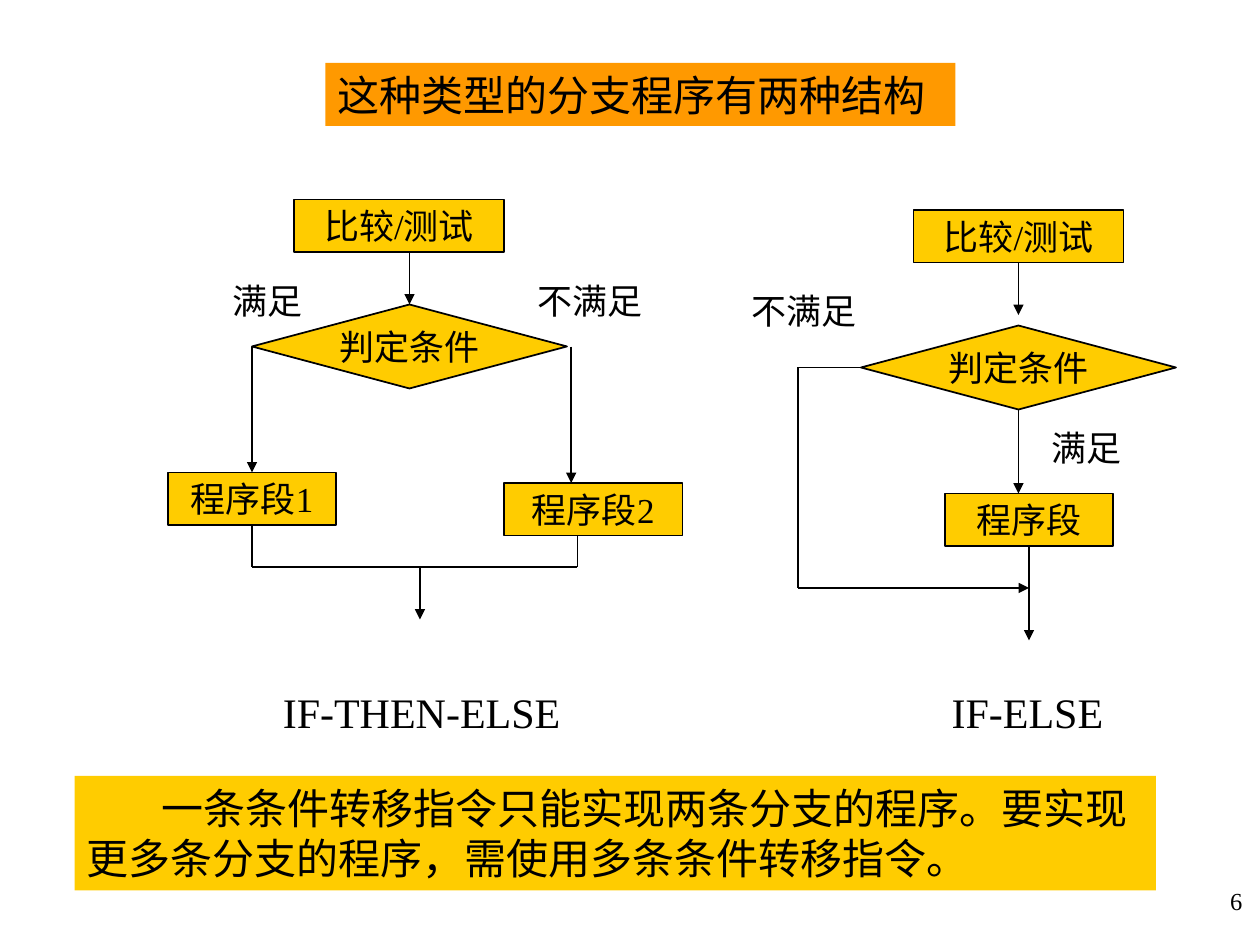
import pptx
import pptx.dml.color
import pptx.enum.shapes
import pptx.enum.text
import pptx.oxml
import pptx.oxml.ns
import pptx.util

ORANGE = pptx.dml.color.RGBColor(0xFF, 0x99, 0x00)
GOLD = pptx.dml.color.RGBColor(0xFF, 0xCC, 0x00)
BLACK = pptx.dml.color.RGBColor(0, 0, 0)
SHAPE = pptx.enum.shapes.MSO_SHAPE
ALIGN = pptx.enum.text.PP_ALIGN
ANCHOR = pptx.enum.text.MSO_ANCHOR


class Flow:
    """Draws flowchart parts on a slide laid out as a grid of 120 columns by 90 rows."""

    font = "Times New Roman"
    line_width = pptx.util.Pt(1)

    def __init__(self, prs):
        self.slide = prs.slides.add_slide(prs.slide_layouts[6])
        self.col = prs.slide_width / 120
        self.row = prs.slide_height / 90
        self.sites = {}

    def emu(self, *grid):
        return [round(v * (self.row if i % 2 else self.col)) for i, v in enumerate(grid)]

    def put_text(self, sp, text, size, align, anchor=ANCHOR.TOP, wrap=True):
        tf = sp.text_frame
        for name, value in {"word_wrap": wrap, "vertical_anchor": anchor}.items():
            setattr(tf, name, value)
        p = tf.paragraphs[0]
        p.alignment = align
        r = p.add_run()
        r.text = text
        style = {"name": self.font, "size": pptx.util.Pt(size)}
        for name, value in style.items():
            setattr(r.font, name, value)
        r.font.color.rgb = BLACK
        return p

    def filled(self, kind, at, color):
        sp = self.slide.shapes.add_shape(kind, *self.emu(*at))
        sp.shadow.inherit = False
        sp.fill.solid()
        sp.fill.fore_color.rgb = color
        return sp

    def banner(self, text, at, color):
        sp = self.filled(SHAPE.RECTANGLE, at, color)
        sp.line.fill.background()
        return self.put_text(sp, text, 24, ALIGN.LEFT)

    def node(self, text, at, kind=SHAPE.FLOWCHART_PROCESS):
        sp = self.filled(kind, at, GOLD)
        sp.line.color.rgb = BLACK
        sp.line.width = self.line_width
        self.put_text(sp, text, 20, ALIGN.CENTER, ANCHOR.MIDDLE, False)
        x, y, w, h = at
        middles = [(x + w / 2, y), (x, y + h / 2), (x + w / 2, y + h), (x + w, y + h / 2)]
        for i, middle in enumerate(middles):
            self.sites[middle] = (sp, i)

    def decision(self, text, x, y):
        self.node(text, (x, y, 30, 8), SHAPE.FLOWCHART_DECISION)

    def label(self, text, at, size=20, align=ALIGN.LEFT):
        self.put_text(self.slide.shapes.add_textbox(*self.emu(*at)), text, size, align)

    def route(self, points, arrow=True):
        last = len(points) - 2
        for i, (start, end) in enumerate(zip(points, points[1:])):
            self.line(start, end, arrow and i == last)

    def line(self, start, end, arrow):
        c = self.slide.shapes.add_connector(
            pptx.enum.shapes.MSO_CONNECTOR.STRAIGHT, *self.emu(*start, *end))
        c.line.color.rgb = BLACK
        c.line.width = self.line_width
        for point, connect in ((start, c.begin_connect), (end, c.end_connect)):
            if point in self.sites:
                connect(*self.sites[point])
        if arrow:
            tail = pptx.oxml.parse_xml(
                f'<a:tailEnd {pptx.oxml.ns.nsdecls("a")} type="triangle"/>')
            c.line._get_or_add_ln().append(tail)
        c._element.spPr.append(
            pptx.oxml.parse_xml(f'<a:effectLst {pptx.oxml.ns.nsdecls("a")}/>'))


def main():
    prs = pptx.Presentation()
    prs.slide_width = pptx.util.Inches(10)
    prs.slide_height = pptx.util.Inches(7.5)
    s = Flow(prs)

    s.banner("这种类型的分支程序有两种结构", (31, 6, 60, 6), ORANGE)

    s.node("比较/测试", (28, 19, 20, 5))
    s.decision("判定条件", 24, 29)
    s.node("程序段1", (16, 45, 16, 5))
    s.node("程序段2", (48, 46, 17, 5))
    s.node("比较/测试", (87, 20, 20, 5))
    s.decision("判定条件", 82, 31)
    s.node("程序段", (90, 47, 16, 5))

    for points in (
        [(39, 24), (39, 29)],
        [(24, 33), (24, 45)],
        [(54.4, 33), (54.4, 46)],
        [(40, 54), (40, 59)],
        [(97, 25), (97, 30)],
        [(97, 39), (97, 47)],
        [(82, 35), (76, 35), (76, 56), (98, 56)],
        [(98, 52), (98, 61)],
    ):
        s.route(points)
    s.route([(24, 50), (24, 54), (55, 54), (55, 51)], arrow=False)

    for text, x, y, w in (
        ("满足", 21, 26, 11),
        ("不满足", 50, 26, 16),
        ("不满足", 70.4, 27, 13.6),
        ("满足", 99, 40, 16),
    ):
        s.label(text, (x, y, w, 5.2))

    p = s.banner("一条条件转移指令只能实现两条分支的程序。要实现更多条分支的程序，需使用多条条件转移指令。",
                 (7.1, 73.9, 103, 10.9), GOLD)
    p._p.get_or_add_pPr().set("indent", str(pptx.util.Inches(0.59)))

    for text, x in (("IF-THEN-ELSE", 20.3), ("IF-ELSE", 78)):
        s.label(text, (x, 64.8, 39.7, 6), 24, ALIGN.CENTER)
    s.label("6", (110, 83.8, 9.5, 6), 14, ALIGN.RIGHT)

    prs.save("out.pptx")


if __name__ == "__main__":
    main()
